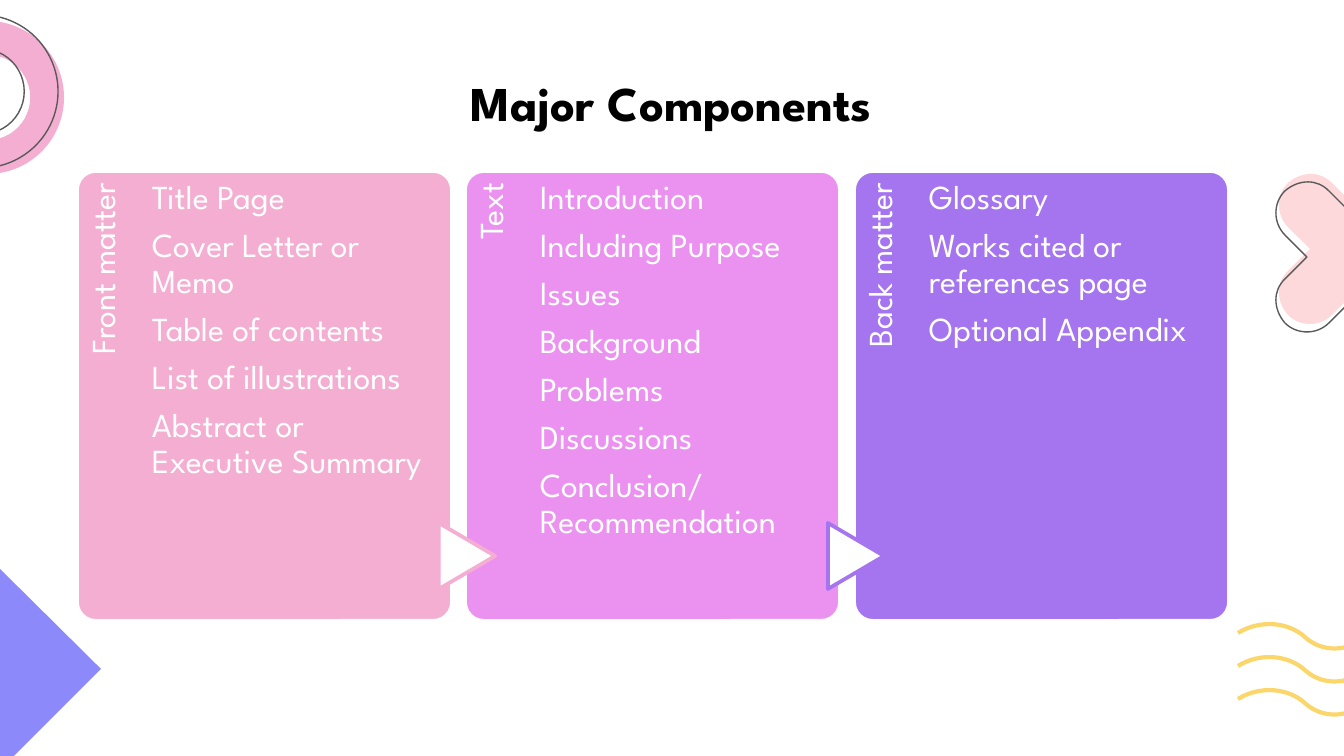
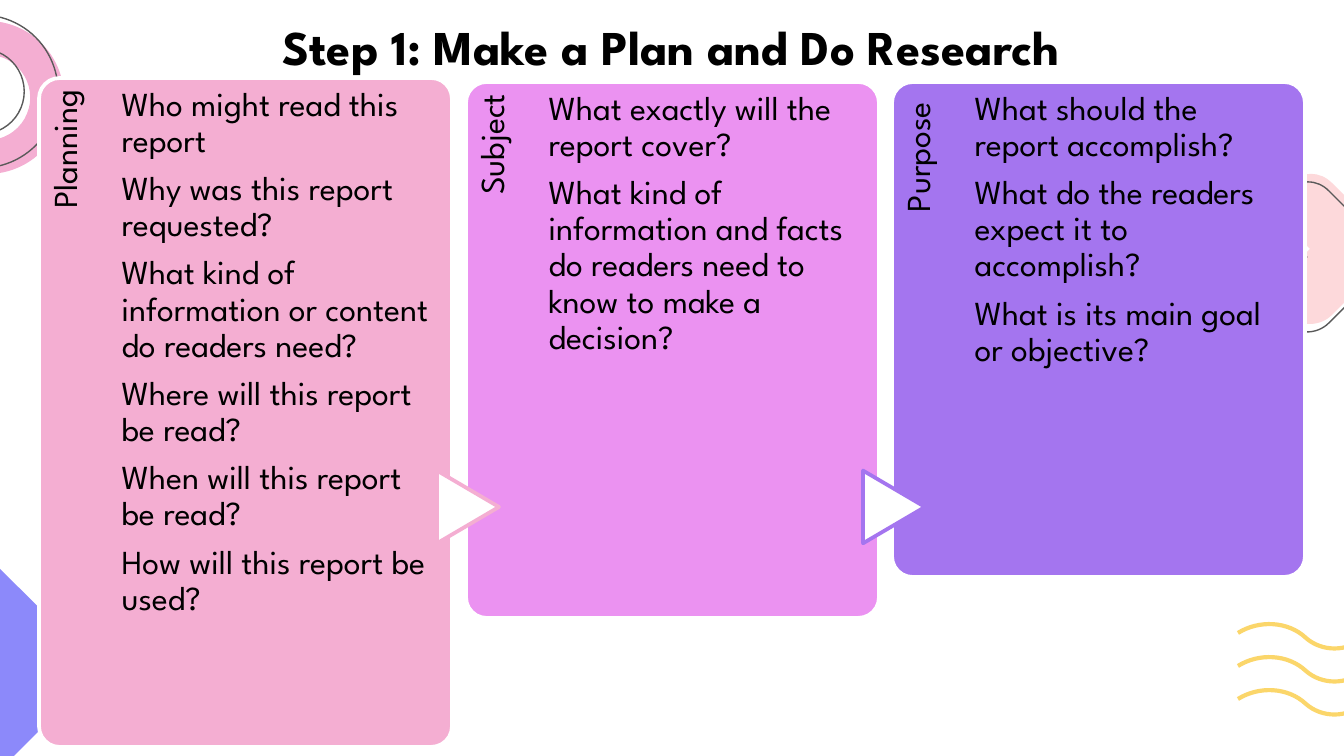
"""Build two slides that each compare three panels of report-writing topics."""
from lxml import etree
from pptx import Presentation
from pptx.dml.color import RGBColor
from pptx.enum.shapes import MSO_SHAPE
from pptx.enum.text import MSO_ANCHOR, PP_ALIGN
from pptx.oxml.ns import qn
from pptx.util import Pt

DONUT, PANEL, ARROW = MSO_SHAPE.DONUT, MSO_SHAPE.ROUNDED_RECTANGLE, MSO_SHAPE.FLOWCHART_EXTRACT
LEFT, CENTER, RIGHT = PP_ALIGN.LEFT, PP_ALIGN.CENTER, PP_ALIGN.RIGHT
TOP, MIDDLE = MSO_ANCHOR.TOP, MSO_ANCHOR.MIDDLE

FONT = "League Spartan"
COLORS = {
    "pink": "F4AED2", "orchid": "EB92F1", "purple": "A475EF", "blue": "8C89FA",
    "yellow": "FBD66A", "blush": "FDD9DB", "gray": "595959", "white": "FFFFFF", "black": "000000",
}
PANEL_FILLS = ["pink", "orchid", "purple"]
ARROW_LINES = [None, "pink", "purple"]

SLIDES = [
    {
        "title": "Major Components", "title_top": 70, "text": "white",
        "lefts": [77, 465, 854], "width": 375, "arrow_y": 556,
        "panels": [
            ("Front matter", 171, 450, [
                "Title Page", "Cover Letter or Memo", "Table of contents",
                "List of illustrations", "Abstract or Executive Summary"]),
            ("Text", 171, 450, [
                "Introduction", "Including Purpose", "Issues", "Background",
                "Problems", "Discussions", "Conclusion/Recommendation"]),
            ("Back matter", 171, 450, [
                "Glossary", "Works cited or references page", "Optional Appendix"]),
        ],
    },
    {
        "title": "Step 1: Make a Plan and Do Research", "title_top": 14, "text": "black",
        "lefts": [39, 466, 892], "width": 413, "arrow_y": 507,
        "panels": [
            ("Planning", 78, 669, [
                "Who might read this report", "Why was this report requested?",
                "What kind of information or content do readers need?",
                "Where will this report be read?", "When will this report be read?",
                "How will this report be used?"]),
            ("Subject", 82, 536, [
                "What exactly will the report cover?",
                "What kind of information and facts do readers need to know to make a decision?"]),
            ("Purpose ", 82, 495, [
                "What should the report accomplish?",
                "What do the readers expect it to accomplish?",
                "What is its main goal or objective?"]),
        ],
    },
]

RINGS = [(-89, 21, "pink", None), (-95, 15, None, "gray")]
DIAMOND = [(-3, 566), (101, 669), (-3, 773)]
WAVE = [
    (1238, 633),
    (1259, 620), (1288, 621), (1306, 638),
    (1322, 652), (1347, 652), (1363, 638),
    (1384, 618), (1417, 618), (1439, 638),
    (1455, 652), (1478, 652), (1495, 638),
    (1516, 618), (1550, 618), (1571, 638),
    (1587, 652), (1611, 652), (1626, 638),
    (1646, 621), (1675, 620), (1696, 633),
]
WAVE_KINDS = "C" * 7
WAVE_TOPS = [0, 33, 66]
ARM = [
    (0, -44), (-22, -66),
    (-28, -72), (-35, -75), (-43, -75),
    (-51, -75), (-59, -72), (-66, -66),
    (-78, -54), (-78, -34), (-66, -22),
]
CROSS_KINDS = "L".join(["LCCC"] * 4)
CROSSES = [(1354, 249, "blush", None), (1351, 257, None, "gray")]


def px(n):
    """Turn pixels into EMU."""
    return round(n * 914400 / 134.4)


def rgb(name):
    """Return the named palette colour."""
    return RGBColor.from_string(COLORS[name])


def paint(s, fill, line, weight=0.75):
    """Set fill and outline, where None means none."""
    s.shadow.inherit = False
    if fill:
        s.fill.solid()
        s.fill.fore_color.rgb = rgb(fill)
    else:
        s.fill.background()
    if line:
        s.line.color.rgb = rgb(line)
        s.line.width = Pt(weight)
    else:
        s.line.fill.background()


def preset(slide, kind, box, fill, line, weight=0.75, adj=None):
    """Add a painted preset shape."""
    s = slide.shapes.add_shape(kind, *map(px, box))
    paint(s, fill, line, weight)
    if adj:
        s.adjustments[0] = adj
    return s


def outline(slide, points, kinds, fill, line, weight=0.75, close=True):
    """Add a freeform whose kinds say line (L) or cubic curve (C) per segment."""
    (x, y), *rest = [(px(x), px(y)) for x, y in points]
    builder = slide.shapes.build_freeform(x, y, scale=1.0)
    builder.add_line_segments(rest, close=close)
    s = builder.convert_to_shape()
    paint(s, fill, line, weight)
    segments = iter(list(s._element.iter(qn("a:lnTo"))))
    for kind in kinds:
        segment = next(segments)
        if kind == "C":
            curve = etree.Element(qn("a:cubicBezTo"))
            segment.addprevious(curve)
            for part in (segment, next(segments), next(segments)):
                curve.append(part[0])
                part.getparent().remove(part)
    return s


def write(slide, box, lines, color, size=18, bold=False, align=LEFT, anchor=TOP,
          insets=(0, 9, 0, 0), spacing=0.9, after=6.3):
    """Add a text box with one paragraph per line."""
    s = slide.shapes.add_textbox(*map(px, box))
    tf = s.text_frame
    tf.word_wrap = True
    tf.vertical_anchor = anchor
    for side, inset in zip(("left", "top", "right", "bottom"), insets):
        setattr(tf, f"margin_{side}", px(inset))
    for i, line in enumerate(lines):
        p = tf.add_paragraph() if i else tf.paragraphs[0]
        for name, value in {"alignment": align, "line_spacing": spacing,
                            "space_after": Pt(after)}.items():
            setattr(p, name, value)
        r = p.add_run()
        r.text = line
        for name, value in {"name": FONT, "size": Pt(size), "bold": bold}.items():
            setattr(r.font, name, value)
        r.font.color.rgb = rgb(color)
    return s


def decorate(slide):
    """Draw the rings, diamond, waves and crosses, then move them to the layout."""
    for x, y, fill, line in RINGS:
        preset(slide, DONUT, (x, y, 153, 153), fill, line, adj=0.221)
    outline(slide, DIAMOND, "LL", "blue", None)
    for top in WAVE_TOPS:
        outline(slide, [(x, y + top) for x, y in WAVE], WAVE_KINDS, None, "yellow", 2.25, close=False)
    arm, cross = ARM, []
    for _ in range(4):
        cross += arm
        arm = [(y, -x) for x, y in arm]
    for cx, cy, fill, line in CROSSES:
        outline(slide, [(cx + x, cy + y) for x, y in cross], CROSS_KINDS, fill, line)
    for s in list(slide.shapes):
        slide.slide_layout.shapes._spTree.append(s._element)


def add_panels(slide, data):
    """Draw the panels with side labels, topics and arrows between them."""
    w, color = data["width"], data["text"]
    strip = 0.2 * w
    for i, (x, (label, top, h, topics)) in enumerate(zip(data["lefts"], data["panels"])):
        preset(slide, PANEL, (x, top, w, h), PANEL_FILLS[i], "white", 2, adj=0.05)
        length = 0.82 * h
        box = (x + (strip - length) / 2, top + (length - strip) / 2, length, strip)
        s = write(slide, box, [label], color, align=RIGHT, insets=(0, 9, 12, 0))
        s.rotation = 270
        if ARROW_LINES[i]:
            aw, ah = 0.176 * w, 0.15 * w
            box = (x + 2 - aw / 2, data["arrow_y"] - ah / 2, aw, ah)
            preset(slide, ARROW, box, "white", ARROW_LINES[i], 2).rotation = 90
        write(slide, (x + strip, top, 0.745 * w, h), topics, color)


def main():
    """Build and save the slides."""
    prs = Presentation()
    prs.slide_width, prs.slide_height = px(1344), px(756)
    blank = prs.slide_layouts[6]
    for i, data in enumerate(SLIDES):
        slide = prs.slides.add_slide(blank)
        if i == 0:
            decorate(slide)
        write(slide, (212, data["title_top"], 919, 64), [data["title"]], "black", size=26, bold=True,
              align=CENTER, anchor=MIDDLE, insets=(13, 13, 13, 13), spacing=1.0, after=0)
        add_panels(slide, data)
    prs.save("out.pptx")


if __name__ == "__main__":
    main()
